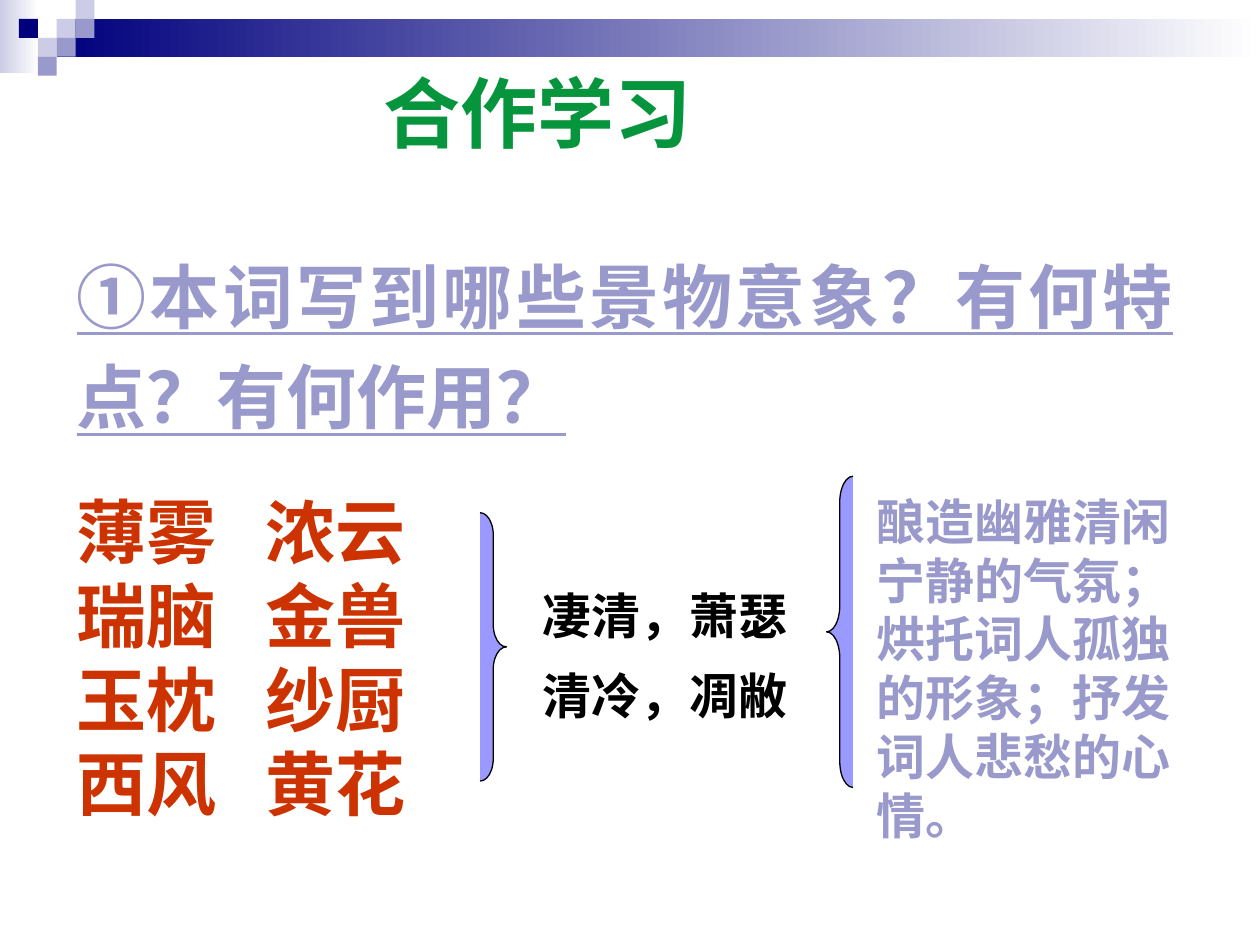
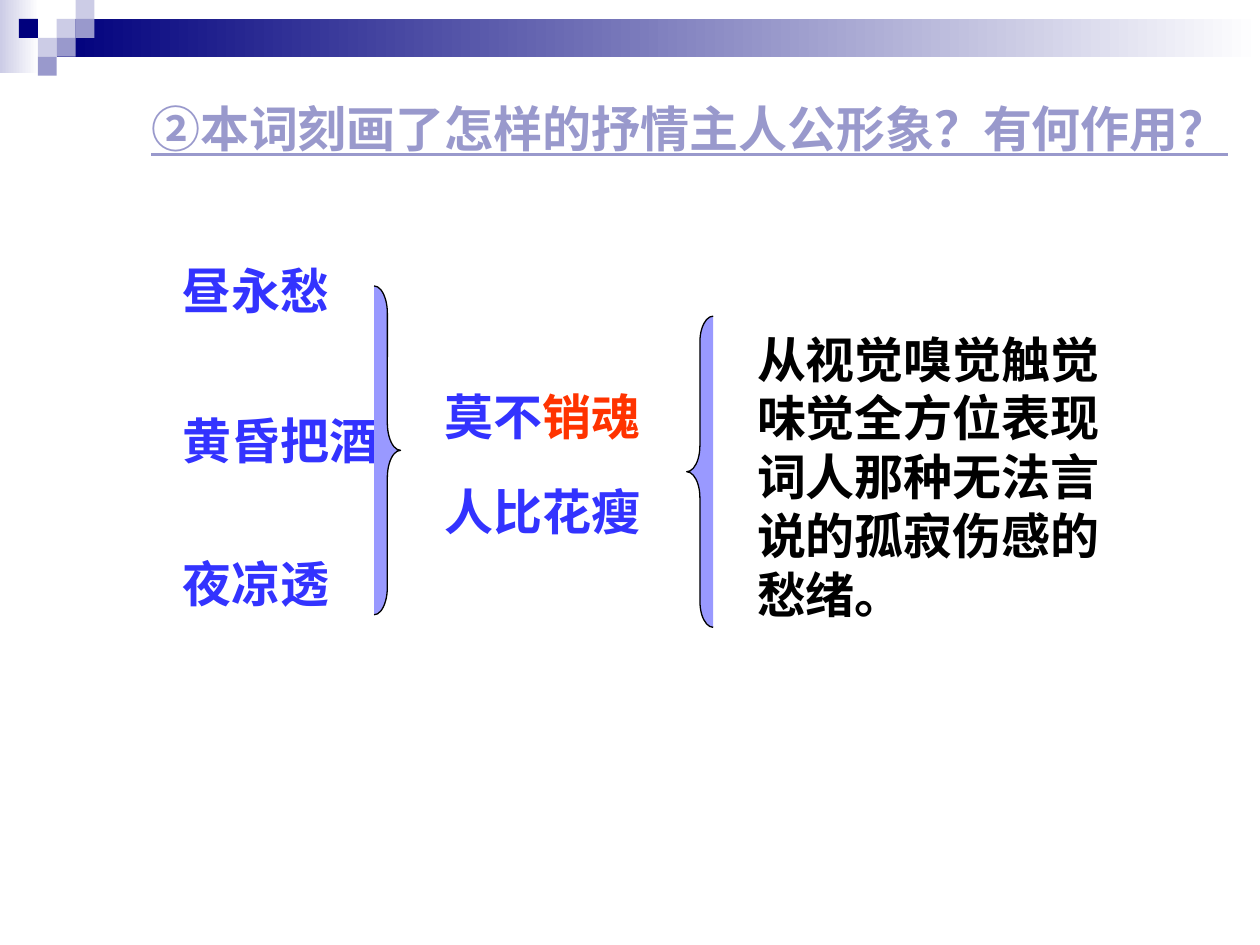
from dataclasses import dataclass
from lxml.etree import SubElement as Sub
from pptx import Presentation
from pptx.dml.color import RGBColor as Rgb
from pptx.enum.shapes import MSO_SHAPE as Shp
from pptx.enum.text import MSO_ANCHOR as Anchor, MSO_AUTO_SIZE as Fit, PP_ALIGN as Align
from pptx.oxml.ns import qn
from pptx.util import Pt


@dataclass(frozen=True)
class Theme:
    navy: str = "00007D"
    pale: str = "CCCCE6"
    mauve: str = "9999CC"
    white: str = "FFFFFF"
    black: str = "000000"
    green: str = "06943C"
    rust: str = "CC3300"
    red: str = "FF3300"
    blue: str = "3333FF"
    brace: str = "9999FF"
    latin: str = "Arial"
    han: str = "Noto Sans CJK SC"
    head: int = 44
    large: int = 40
    text: int = 28
    lead: float = 1.2
    drop: float = 0.08
    cell: float = 10.8


T = Theme()

BANDS = [
    ((0, 0, 22.3, 41.8), T.pale),
    ((32.4, 10.8, 687.6, 21.6), T.navy),
]
CELLS = [
    (3, 1, T.pale), (4, 0, T.pale), (4, 1, T.mauve), (2, 2, T.pale),
    (1, 1, T.navy), (3, 2, T.mauve), (2, 3, T.mauve),
]


def item(box, paras, color, size=T.text, font=T.latin, **more):
    return dict(box=box, paras=paras, color=color, size=size, font=font, **more)


STUDY = dict(
    layout=1,
    title=item((211.7, 30.2, 221, 60.5), ["合作学习"], T.green, T.head),
    body=item((36.7, 272.2, 283.7, 199.4),
              ["薄雾\t浓云", "瑞脑\t金兽", "玉枕\t纱厨", "西风\t黄花"],
              T.rust, T.large, T.han, tab=106.9),
    texts=[
        item((36.7, 128.2, 640.8, 122.4),
             ["①本词写到哪些景物意象？有何特点？有何作用？"],
             T.mauve, T.large, line=True, lead=1.44, align=Align.JUSTIFY),
        item((303.1, 329, 163.4, 136.8), ["凄清，萧瑟", "清冷，凋敝"], T.black, gap=12),
        item((493.9, 275, 183.6, 208.8),
             [[("酿造", {}), ("幽雅清闲", dict(font=T.han)),
               ("宁静的气氛；烘托词人孤独的形象；抒发词人悲愁的心情。", {})]], T.mauve),
    ],
    braces=[
        (Shp.RIGHT_BRACE, (274.3, 293, 15.1, 153.4)),
        (Shp.LEFT_BRACE, (472.3, 272.2, 15.1, 177.8)),
    ],
)
HERO = dict(
    layout=5,
    title=item((79.2, 50.4, 640, 74.9), ["②本词刻画了怎样的抒情主人公形象？有何作用？"],
               T.mauve, line=True),
    texts=[
        *[item((97.2, top, 174.2, 41), [words], T.blue, font=T.han)
          for top, words in [(143.3, "昼永愁"), (229, "黄昏把酒"), (310.3, "夜凉透")]],
        item((247, 215.3, 152.6, 41), [[("莫不", {}), ("销魂", dict(color=T.red))]],
             T.blue, font=T.han),
        item((247, 269.3, 152.6, 41), ["人比花瘦"], T.blue, font=T.han),
        item((425.5, 182.2, 231.8, 175.7),
             ["从视觉嗅觉触觉味觉全方位表现词人那种无法言说的孤寂伤感的愁绪。"], T.black),
    ],
    braces=[
        (Shp.RIGHT_BRACE, (213.8, 163.4, 15.1, 187.9)),
        (Shp.LEFT_BRACE, (392.4, 180.7, 15.1, 177.8)),
    ],
)


def rgb(code):
    return Rgb.from_string(code)


def place(shape, box):
    shape.left, shape.top, shape.width, shape.height = map(Pt, box)


def add_run(para, words, spec):
    run = para.add_run()
    run.text = words
    font = run.font
    font.size = Pt(spec["size"])
    font.bold = True
    font.underline = spec.get("line")
    font.color.rgb = rgb(spec["color"])
    font.name = spec["font"]
    Sub(font._element, qn("a:ea"), typeface=T.han)


def write(shape, spec):
    place(shape, spec["box"])
    size = spec["size"]
    frame = shape.text_frame
    frame.word_wrap = True
    frame.auto_size = Fit.NONE
    frame.vertical_anchor = Anchor.TOP
    frame.margin_left = frame.margin_right = Pt(7.2)
    frame.margin_top = Pt(3.6 + T.drop * size)
    frame.margin_bottom = Pt(3.6)
    for i, words in enumerate(spec["paras"]):
        para = frame.add_paragraph() if i else frame.paragraphs[0]
        props = para._p.get_or_add_pPr()
        props.set("marL", "0")
        props.set("indent", "0")
        Sub(props, qn("a:buNone"))
        if "tab" in spec:
            tabs = Sub(props, qn("a:tabLst"))
            Sub(tabs, qn("a:tab"), pos=str(Pt(spec["tab"])), algn="l")
        para.alignment = spec.get("align", Align.LEFT)
        para.line_spacing = Pt(size * spec.get("lead", T.lead))
        para.space_before = Pt(spec.get("gap", 0) if i else 0)
        for part, more in [(words, {})] if isinstance(words, str) else words:
            add_run(para, part, {**spec, **more})


def add_form(slide, kind, box):
    form = slide.shapes.add_shape(kind, *map(Pt, box))
    form.shadow.inherit = False
    return form


def add_brace(slide, kind, box):
    brace = add_form(slide, kind, box)
    brace.adjustments[0] = box[3] / box[2] / 12
    brace.fill.solid()
    brace.fill.fore_color.rgb = rgb(T.brace)
    brace.line.color.rgb = rgb(T.black)
    brace.line.width = Pt(0.75)


def build(deck, page):
    slide = deck.slides.add_slide(deck.slide_layouts[page["layout"]])
    write(slide.shapes.title, page["title"])
    if "body" in page:
        write(slide.placeholders[1], page["body"])
    for spec in page["texts"]:
        write(slide.shapes.add_textbox(0, 0, 0, 0), spec)
    for kind, box in page["braces"]:
        add_brace(slide, kind, box)
    return slide


def trim(deck, slide):
    forms = []
    for box, color in BANDS:
        band = add_form(slide, Shp.RECTANGLE, box)
        band.fill.gradient()
        band.fill.gradient_angle = 0
        for stop, shade in zip(band.fill.gradient_stops, (color, T.white)):
            stop.color.rgb = rgb(shade)
        forms.append(band)
    for col, row, color in CELLS:
        box = (col * T.cell, row * T.cell, T.cell, T.cell)
        cell = add_form(slide, Shp.RECTANGLE, box)
        cell.fill.solid()
        cell.fill.fore_color.rgb = rgb(color)
        forms.append(cell)
    tree = deck.slide_master.shapes._spTree
    for spot, form in enumerate(forms, 2):
        form.line.fill.background()
        tree.insert(spot, form._element)


def main():
    deck = Presentation()
    deck.slide_width, deck.slide_height = Pt(720), Pt(540)
    pages = [build(deck, page) for page in (STUDY, HERO)]
    trim(deck, pages[0])
    deck.save("out.pptx")


if __name__ == "__main__":
    main()
